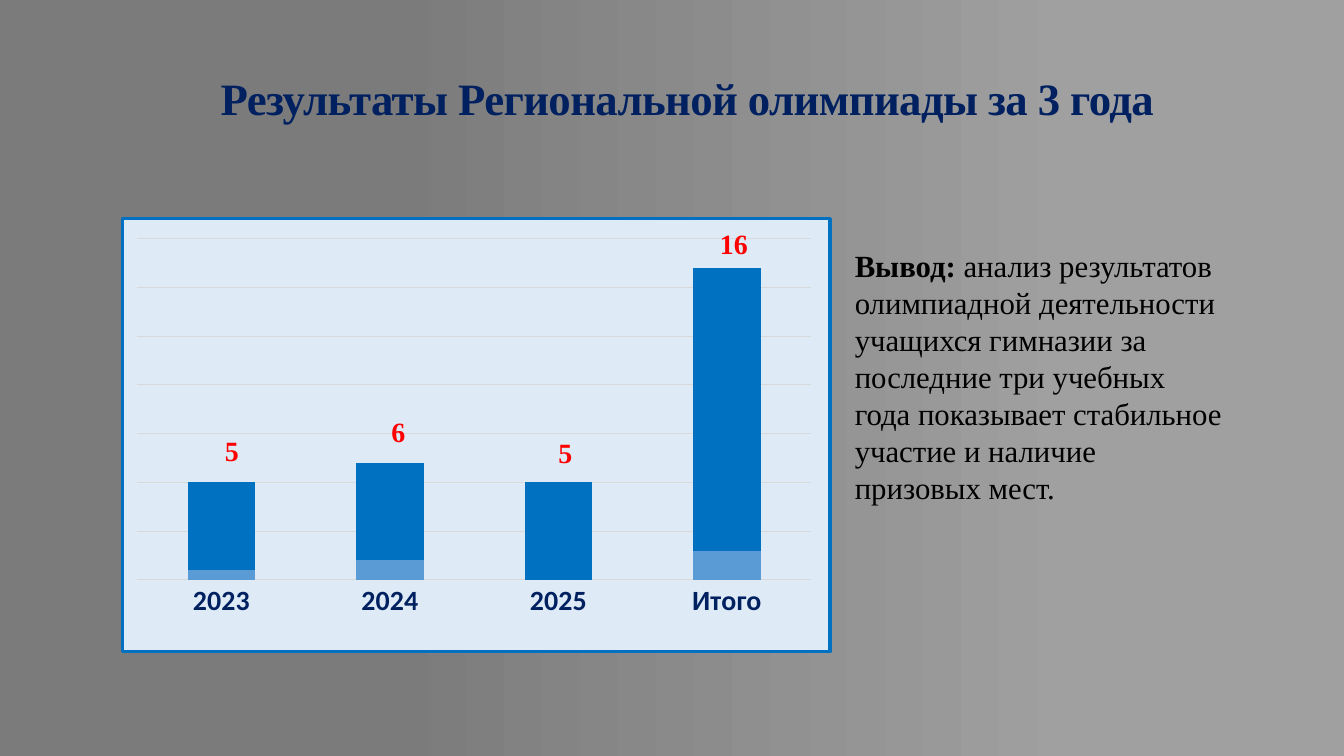
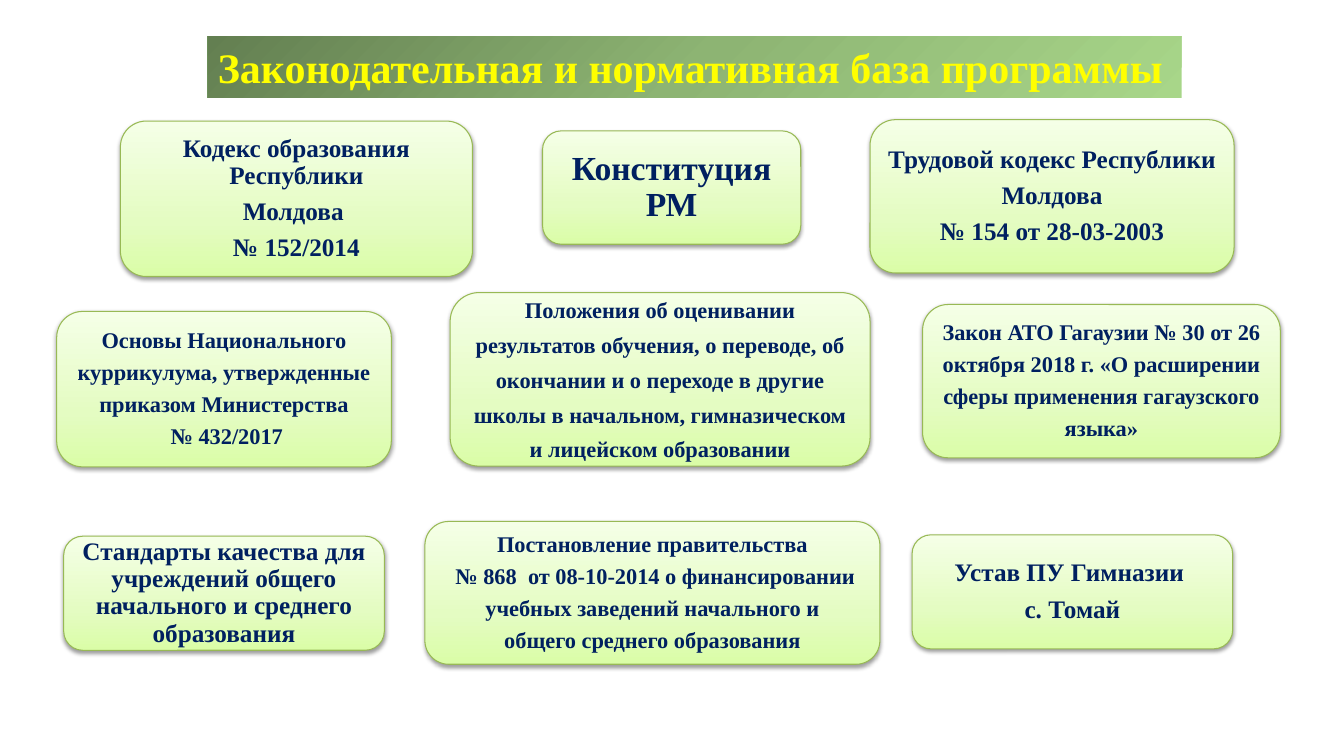
from lxml import etree
from pptx import Presentation
from pptx.chart.data import CategoryChartData
from pptx.dml.color import RGBColor
from pptx.enum.chart import XL_CHART_TYPE as Kind, XL_TICK_MARK as Tick
from pptx.enum.shapes import MSO_SHAPE as Form
from pptx.enum.text import MSO_ANCHOR as Anchor, PP_ALIGN as Align
from pptx.oxml import parse_xml
from pptx.oxml.ns import nsdecls, qn
from pptx.util import Pt

HUES = {
    "navy": "002060", "black": "000000", "red": "FF0000", "yellow": "FFFF00",
    "blue": "0070C0", "sky": "5B9BD5", "pale": "DEEBF7", "grid": "D9D9D9",
    "edge": "98B955", "dark": "404040", "white": "FFFFFF",
}
GREY = [(29, "7B7B7B"), (80, "A0A0A0"), (100, "A1A1A1")]
LIME = [(0, "DAFDA7"), (35, "E4FCC2"), (100, "F5FFE7")]
MOSS = [(0, "637F51"), (50, "8DB473"), (100, "A8D689")]
RGB = {name: RGBColor.from_string(code) for name, code in HUES.items()}
SERIF = "Times New Roman"


def shade(fill, root, stops, course):
    """Give a fill the (percent, colour) stops; course is the XML of its direction."""
    fill.gradient()
    grad = root.find(".//" + qn("a:gradFill"))
    grad.clear()
    marks = "".join(
        f'<a:gs pos="{pos * 1000}"><a:srgbClr val="{code}"/></a:gs>'
        for pos, code in stops
    )
    grad.append(parse_xml(f'<a:gsLst {nsdecls("a")}>{marks}</a:gsLst>'))
    grad.append(parse_xml(course.format(nsdecls("a"))))


def write(para, text, size, hue="navy", bold=True):
    run = para.add_run()
    run.text = text
    font = run.font
    font.name, font.size, font.bold = SERIF, Pt(size), bold
    font.color.rgb = RGB[hue]
    return run


deck = Presentation()
deck.slide_width, deck.slide_height = Pt(960), Pt(540)
blank = deck.slide_layouts[6]

# Slide 1: results
slide = deck.slides.add_slide(blank)
shade(slide.background.fill, slide._element, GREY, '<a:lin {} ang="0" scaled="0"/>')

data = CategoryChartData()
data.categories = ["2023", "2024", "2025", "Итого"]
rows = [
    ((1, 2, 0, 3), "sky"),
    ((1, 2, 3, 6), "blue"),
    ((3, 2, 2, 7), "blue"),
    ((5, 6, 5, 16), "blue"),
]
for num, (vals, hue) in enumerate(rows, 1):
    data.add_series(f"Series {num}", vals)
wide, high = 507.5, 311.5
chart = slide.shapes.add_chart(
    Kind.COLUMN_STACKED, Pt(86.5), Pt(155), Pt(wide), Pt(high), data
).chart
chart.has_title = chart.has_legend = False
chart.font.name, chart.font.size = "Calibri", Pt(10)
chart.font.color.rgb = RGB["black"]

plot = chart.plots[0]
plot.gap_width, plot.overlap, plot.vary_by_categories = 150, 100, False
for bars, (vals, hue) in zip(plot.series, rows):
    bars.format.fill.solid()
    bars.format.fill.fore_color.rgb = RGB[hue]

cats = chart.category_axis
cats.major_tick_mark = Tick.NONE
cats.format.line.fill.background()
font = cats.tick_labels.font
font.name, font.size, font.bold = "Calibri", Pt(20), True
font.color.rgb = RGB["navy"]

scale = chart.value_axis
scale.visible = False
scale.minimum_scale, scale.maximum_scale, scale.major_unit = 0, 35, 5
scale.has_major_gridlines = True
grid = scale.major_gridlines.format.line
grid.color.rgb, grid.width = RGB["grid"], Pt(0.75)

# Totals are moved, in points, from the bar centre to above the column
top = plot.series[3]
tags = top.data_labels
tags.show_value = True
tags.font.name, tags.font.size = SERIF, Pt(20)
tags.font.color.rgb = RGB["dark"]
moves = [(7.5, -39), (6, -42.5), (5, -38), (5, -72.5)]
for idx, (dx, dy) in enumerate(moves):
    text = top.points[idx].data_label.text_frame
    write(text.paragraphs[0], str(rows[3][0][idx]), 20, "red")
    label = top._element.findall(".//" + qn("c:dLbl"))[idx]
    label.insert(1, parse_xml(
        f'<c:layout {nsdecls("c")}><c:manualLayout>'
        f'<c:x val="{dx / wide}"/><c:y val="{dy / high}"/></c:manualLayout></c:layout>'
    ))
for lead in top._element.findall(".//" + qn("c:showLeaderLines")):
    lead.set("val", "0")
top._element.find(qn("c:dLbls")).append(parse_xml(
    f'<c:extLst {nsdecls("c")}><c:ext uri="{{CE6537A1-D6FC-4f65-9D91-7224C49458BB}}" '
    'xmlns:c15="http://schemas.microsoft.com/office/drawing/2012/chart">'
    '<c15:showLeaderLines val="0"/></c:ext></c:extLst>'
))

space = chart._chartSpace
area = space.find(".//" + qn("c:plotArea"))
for old in area.findall(qn("c:layout")):
    area.remove(old)
area.insert(0, parse_xml(
    f'<c:layout {nsdecls("c")}><c:manualLayout><c:layoutTarget val="inner"/>'
    '<c:xMode val="edge"/><c:yMode val="edge"/>'
    f'<c:x val="{10.5 / wide}"/><c:y val="{14.5 / high}"/>'
    f'<c:w val="{483.5 / wide}"/><c:h val="{245.5 / high}"/>'
    '</c:manualLayout></c:layout>'
))
space.find(qn("c:chart")).addnext(parse_xml(
    f'<c:spPr {nsdecls("c", "a")}>'
    f'<a:solidFill><a:srgbClr val="{HUES["pale"]}"/></a:solidFill>'
    f'<a:ln w="{Pt(2.25)}"><a:solidFill><a:srgbClr val="{HUES["blue"]}"/></a:solidFill></a:ln>'
    '</c:spPr>'
))

head = slide.shapes.add_textbox(Pt(150.5), Pt(47), Pt(702.5), Pt(46)).text_frame
head.word_wrap = True
run = write(head.paragraphs[0], "Результаты Региональной олимпиады за 3 года", 32)
run.font._element.set("spc", "-45")

note = slide.shapes.add_textbox(Pt(603.5), Pt(173), Pt(276.5), Pt(193.5)).text_frame
note.word_wrap = True
para = note.paragraphs[0]
write(para, "Вывод: ", 22, "black")
write(para, "анализ результатов олимпиадной деятельности учащихся гимназии за "
      "последние три учебных года показывает стабильное участие и наличие "
      "призовых мест.", 22, "black", False)

# Slide 2: legal basis
slide = deck.slides.add_slide(blank)
slide.background.fill.solid()
slide.background.fill.fore_color.rgb = RGB["white"]

band = slide.shapes.add_shape(Form.RECTANGLE, Pt(148.5), Pt(26), Pt(695.5), Pt(44))
band.shadow.inherit = False
band.line.fill.background()
shade(band.fill, band._element, MOSS,
      '<a:path {} path="circle"><a:fillToRect r="100000" b="100000"/></a:path>')
frame = band.text_frame
frame.word_wrap, frame.margin_right = True, 0
para = frame.paragraphs[0]
para.alignment = Align.LEFT
write(para, "Законодательная и нормативная база программы", 30, "yellow")

# Left, top, width, height, text size, line spacing, paragraphs
cards = [
    (86, 86.5, 251.5, 111, 18, 0.9,
     ["Кодекс образования Республики", "Молдова ", "№ 152/2014"]),
    (387.5, 93.5, 184.5, 81, 24, 0.9, ["Конституция РМ"]),
    (621.5, 85.5, 260, 109.5, 18, 0.9,
     ["Трудовой кодекс Республики", "Молдова", "№ 154 от 28-03-2003"]),
    (40.5, 222.5, 239, 111, 16, 0.9,
     ["Основы Национального", "куррикулума, утвержденные",
      "приказом Министерства", " № 432/2017"]),
    (321.5, 209, 300, 124, 16, 1.0,
     ["Положения об оценивании", "результатов обучения, о переводе, об",
      "окончании и о переходе в другие", "школы в начальном, гимназическом",
      "и лицейском образовании"]),
    (659, 217.5, 255.5, 109.5, 16, 0.9,
     ["Закон АТО Гагаузии № 30 от 26", "октября 2018 г. «О расширении",
      "сферы применения гагаузского", "языка»"]),
    (45.5, 383, 229, 81.5, 18, 0.9,
     ["Стандарты качества для учреждений общего начального и среднего образования"]),
    (303.5, 372.5, 325, 102, 16, 0.9,
     ["Постановление правительства", " № 868  от 08-10-2014 o финансировании",
      "учебных заведений начального и", "общего среднего образования"]),
    (651.5, 382, 229, 81.5, 18, 0.9, ["Устав ПУ Гимназии ", "с. Томай"]),
]
for left, top, wide, high, size, pitch, lines in cards:
    card = slide.shapes.add_shape(
        Form.ROUNDED_RECTANGLE, Pt(left), Pt(top), Pt(wide), Pt(high))
    shade(card.fill, card._element, LIME, '<a:lin {} ang="16200000" scaled="0"/>')
    card.line.color.rgb, card.line.width = RGB["edge"], Pt(0.75)
    card.shadow.inherit = False
    glow = etree.SubElement(
        card._element.spPr.find(qn("a:effectLst")), qn("a:outerShdw"),
        blurRad=str(Pt(3.1)), dist=str(Pt(1.6)), dir="5400000", rotWithShape="0")
    ink = etree.SubElement(glow, qn("a:srgbClr"), val=HUES["black"])
    etree.SubElement(ink, qn("a:alpha"), val="38000")

    frame = card.text_frame
    frame.word_wrap, frame.vertical_anchor = True, Anchor.MIDDLE
    frame.margin_left = frame.margin_right = Pt(7)
    frame.margin_top = frame.margin_bottom = Pt(7)
    for idx, line in enumerate(lines):
        para = frame.add_paragraph() if idx else frame.paragraphs[0]
        para.alignment, para.line_spacing = Align.CENTER, pitch
        para.space_after = Pt(0.35 * size)
        write(para, line, size)

deck.save("out.pptx")
